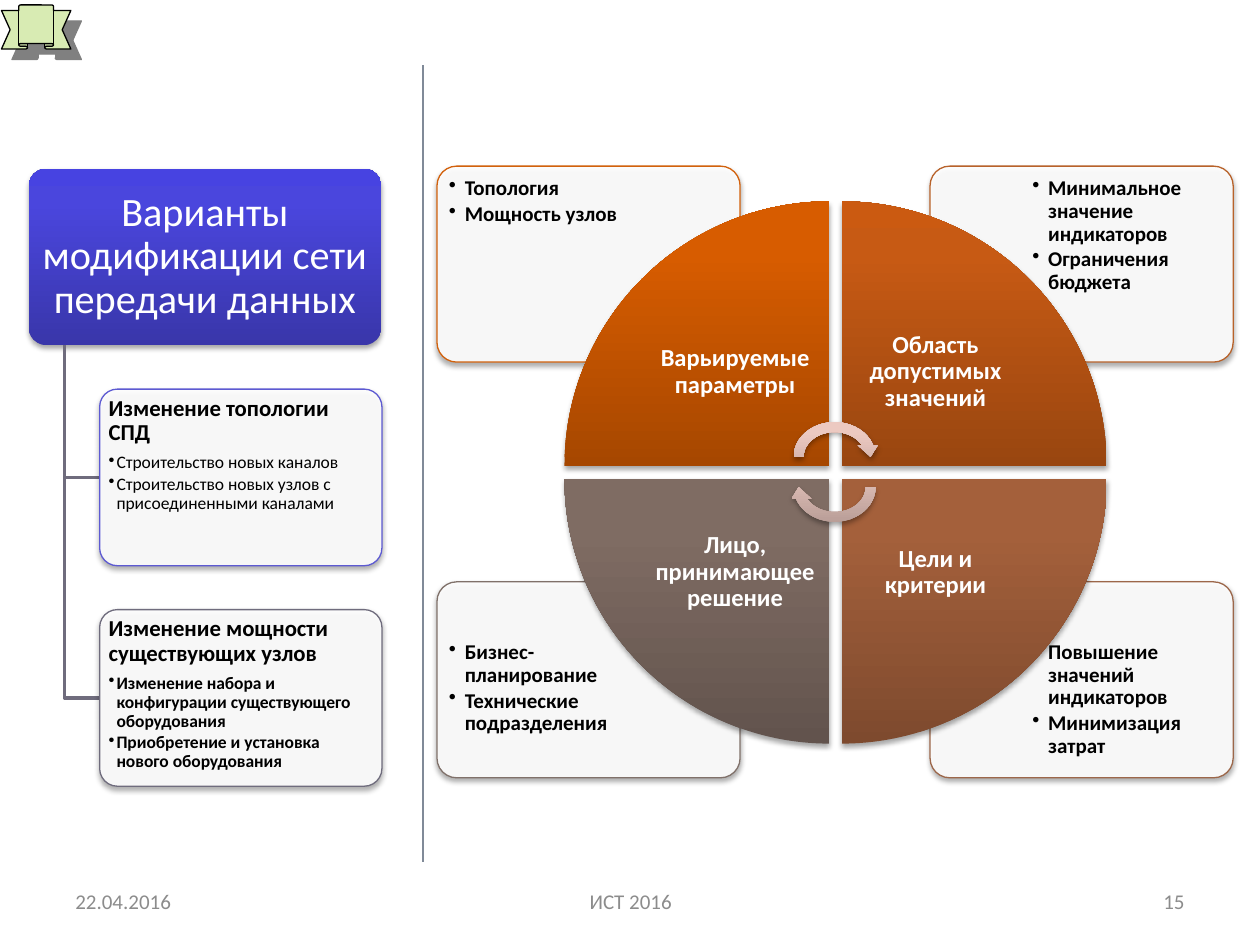
from dataclasses import dataclass

from lxml import etree
from pptx import Presentation
from pptx import util as u
from pptx.dml.color import RGBColor
from pptx.enum import shapes, text
from pptx.oxml.ns import qn

Kind = shapes.MSO_SHAPE
Align = text.PP_ALIGN
Mid = text.MSO_ANCHOR.MIDDLE
Top = text.MSO_ANCHOR.TOP


@dataclass(frozen=True)
class Theme:
    font: str = "Calibri"
    white: str = "FFFFFF"
    ink: str = "000000"
    grey: str = "8C8C8C"
    rule: str = "808A98"
    stem: str = "6F6C7D"
    badge: str = "D8EBB3"
    shade: str = "808080"
    topic: str = "5D5AD2"
    root: tuple = ("3936AA", "4A46DD", "4743E1")
    arrow: tuple = ("B69B95", "ECC9C1", "EEC9C1")
    big: int = 23
    label: int = 14
    head: int = 13
    body: int = 12
    small: int = 10


T = Theme()


def sub(node, tag, **attrs):
    return etree.SubElement(node, qn(tag), {k: str(v) for k, v in attrs.items()})


def color(node, code, alpha=100):
    sub(sub(node, "a:srgbClr", val=code), "a:alpha", val=alpha * 1000)


class Page:
    """Holds the theme and the slide being drawn; boxes are (left, top, width, height) in cm."""

    def __init__(self, slide, theme):
        self.slide, self.theme = slide, theme

    def shade(self, shape, code=T.ink, alpha=35, blur=3.1, dist=1.8, angle=90):
        shape.shadow.inherit = False
        effect = shape._element.spPr.find(qn("a:effectLst"))
        outer = sub(effect, "a:outerShdw", blurRad=u.Pt(blur), dist=u.Pt(dist),
                    dir=angle * 60000, algn="ctr", rotWithShape=0)
        color(outer, code, alpha)

    def stroke(self, shape, code, width=0.75):
        shape.line.color.rgb = RGBColor.from_string(code)
        shape.line.width = u.Pt(width)

    def blend(self, shape, codes):
        """Fill from bottom to top, the direction fixed when the shape turns."""
        shape.fill.gradient()
        shape.fill.gradient_angle = 90
        grad = shape._element.spPr.find(qn("a:gradFill"))
        grad.set("rotWithShape", "0")
        stops = grad.find(qn("a:gsLst"))
        for stop in list(stops):
            stops.remove(stop)
        for place, code in zip((0, 80, 100), codes):
            color(sub(stops, "a:gs", pos=place * 1000), code)

    def shape(self, kind, box, turn=0, round_=None):
        item = self.slide.shapes.add_shape(kind, *map(u.Cm, box))
        item.rotation = turn
        if round_ is not None:
            item.adjustments[0] = round_
        return item

    def solid(self, kind, box, codes, turn=0, round_=None):
        item = self.shape(kind, box, turn, round_)
        self.blend(item, codes)
        item.line.fill.background()
        self.shade(item)

    def card(self, box, edge):
        item = self.shape(Kind.ROUNDED_RECTANGLE, box, round_=0.1)
        item.fill.solid()
        item.fill.fore_color.rgb = RGBColor.from_string(self.theme.white)
        tint = item._element.spPr.find(qn("a:solidFill"))[0]
        sub(tint, "a:alpha", val=90000)
        self.stroke(item, edge)
        self.shade(item)

    def badge(self, box):
        item = self.shape(Kind.UP_RIBBON, box, round_=0.125)
        item.fill.solid()
        item.fill.fore_color.rgb = RGBColor.from_string(self.theme.badge)
        self.stroke(item, self.theme.ink)
        self.shade(item, self.theme.shade, 100, 0, 8.5, 45)

    def rule(self, x, top, end):
        item = self.slide.shapes.add_connector(
            shapes.MSO_CONNECTOR.STRAIGHT, u.Cm(x), u.Cm(top), u.Cm(x), u.Cm(end))
        self.stroke(item, self.theme.rule)
        sub(item._element.spPr, "a:effectLst")

    def elbow(self, x, top, right, end):
        pen = self.slide.shapes.build_freeform(u.Cm(x), u.Cm(top))
        pen.add_line_segments([(u.Cm(x), u.Cm(end)), (u.Cm(right), u.Cm(end))], close=False)
        item = pen.convert_to_shape()
        item.fill.background()
        self.stroke(item, self.theme.stem, 2)
        item.shadow.inherit = False

    def frame(self, box, pad, anchor=Top):
        """Add an empty text box; pad is its (side, top and bottom) inset."""
        body = self.slide.shapes.add_textbox(*map(u.Cm, box)).text_frame
        body.word_wrap = True
        body.vertical_anchor = anchor
        body.margin_left = body.margin_right = u.Cm(pad[0])
        body.margin_top = body.margin_bottom = u.Cm(pad[1])
        return body

    def line(self, body, words, size, code=T.ink, bold=False,
             align=Align.LEFT, after=0.0, hang=0.0, tight=0.9):
        """Add a paragraph; after is a share of the type size, hang gives a bullet."""
        para = body.paragraphs[0]
        if para.runs:
            para = body.add_paragraph()
        if hang:
            props = para._p.get_or_add_pPr()
            props.set("marL", str(u.Cm(hang)))
            props.set("indent", str(-u.Cm(hang)))
            sub(props, "a:buChar", char="•")
            para.level = 1
        para.alignment = align
        para.line_spacing = tight
        para.space_after = u.Pt(round(size * after, 1))
        run = para.add_run()
        run.text = words
        run.font.name = self.theme.font
        run.font.size = u.Pt(size)
        run.font.bold = bold
        run.font.color.rgb = RGBColor.from_string(code)


def tree(page):
    left, top, high, step = 0.58, 3.4, 3.56, 4.445
    wide, inner, slim, stem, gap = 7.11, 2.01, 5.69, 1.3, 0.1
    page.solid(Kind.ROUNDED_RECTANGLE, (left, top, wide, high), T.root, round_=0.1)
    body = page.frame((left + gap, top + gap, wide - 2 * gap, high - 2 * gap), (0.13, 0.08), Mid)
    page.line(body, "Варианты модификации сети передачи данных", T.big, T.white,
              align=Align.CENTER, after=0.35)
    topics = [
        ("Изменение топологии СПД", T.topic, False,
         ["Строительство новых каналов",
          "Строительство новых узлов с присоединенными каналами"]),
        ("Изменение мощности существующих узлов", T.stem, True,
         ["Изменение набора и конфигурации существующего оборудования",
          "Приобретение и установка нового оборудования"]),
    ]
    for i, (head, edge, bold, items) in enumerate(topics, 1):
        y = top + i * step
        page.elbow(stem, top + high, inner, y + high / 2)
        page.card((inner, y, slim, high), edge)
        body = page.frame((inner + gap, y + gap, slim - 2 * gap, high - 2 * gap), (0.08, 0.05))
        page.line(body, head, T.head, bold=True, after=0.35)
        for item in items:
            page.line(body, item, T.small, bold=bold, after=0.15, hang=0.16)


def wheel(page):
    # Clockwise from top left: column, row, label, card edge, wedge colours, notes
    parts = [
        (0, 0, "Варьируемые параметры", "D2610C", ("A64700", "D75C00", "D85D00"),
         ["Топология", "Мощность узлов"]),
        (1, 0, "Область допустимых значений", "B8622A", ("994610", "C75A14", "CB5A11"),
         ["Минимальное значение индикаторов", "Ограничения бюджета"]),
        (1, 1, "Цели и критерии", "9C674A", ("7E4A2E", "A4603B", "A6603A"),
         ["Повышение значений индикаторов", "Минимизация затрат"]),
        (0, 1, "Лицо, принимающее решение", "80716A", ("62534D", "7F6C63", "806D63"),
         ["Бизнес-планирование", "Технические подразделения"]),
    ]
    for col, row, _, edge, _, notes in parts:
        page.card(((8.81, 18.75)[col], (3.35, 11.73)[row], 6.11, 3.95), edge)
        body = page.frame(((8.92, 20.68)[col], (3.45, 12.8)[row], 4.09, 2.79), (0.13, 0.13))
        for note in notes:
            page.line(body, note, T.body, bold=True, after=0.15, hang=0.32)
    for i, (col, row, label, _, codes, _) in enumerate(parts):
        page.solid(Kind.PIE_WEDGE, (11.38 + col * 5.59, 4.06 + row * 5.59, 5.34, 5.34),
                   codes, turn=i * 90)
        body = page.frame(((12.93, 16.97)[col], (5.61, 9.65)[row], 3.78, 3.78), (0.28, 0.28), Mid)
        page.line(body, label, T.label, T.white, True, Align.CENTER, after=0.35)
    for y, turn in ((8.41, 0), (9.02, 180)):
        page.solid(Kind.CIRCULAR_ARROW, (15.9, y, 1.85, 1.6), T.arrow, turn)


def foot(page):
    for x, wide, words, align in ((1.27, 5.92, "22.04.2016", Align.LEFT),
                                  (8.69, 8.05, "ИСТ 2016", Align.CENTER),
                                  (18.21, 5.92, "15", Align.RIGHT)):
        body = page.frame((x, 17.65, wide, 1.02), (0.25, 0.13), Mid)
        page.line(body, words, T.body, T.grey, align=align, tight=1.0)


def main():
    deck = Presentation()
    deck.slide_width, deck.slide_height = u.Cm(25.4), u.Cm(19.05)
    page = Page(deck.slides.add_slide(deck.slide_layouts[6]), T)
    page.badge((0.03, 0.1, 1.4, 0.89))
    page.rule(8.53, 1.32, 17.37)
    tree(page)
    foot(page)
    wheel(page)
    deck.save("out.pptx")


if __name__ == "__main__":
    main()
